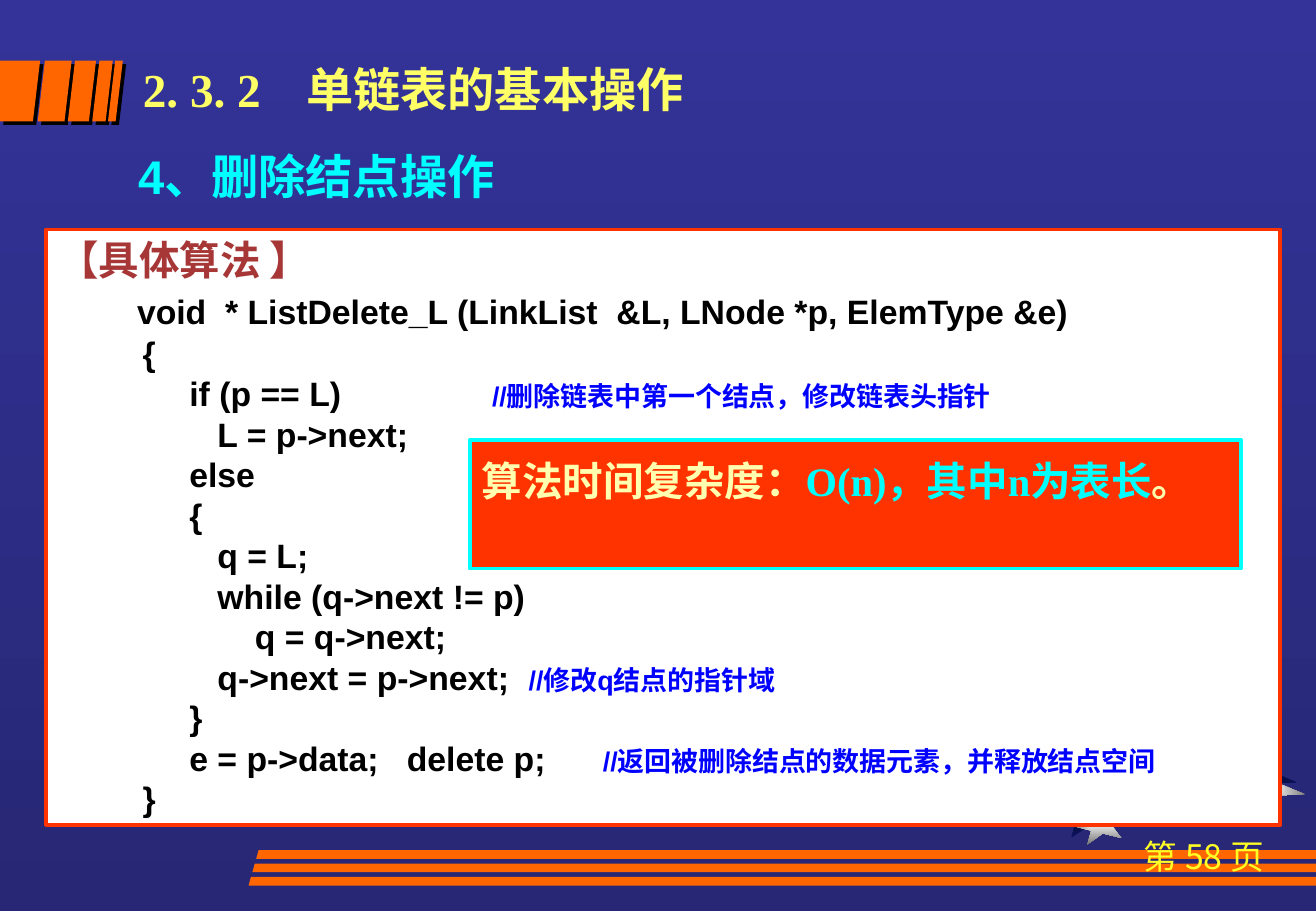
"""Builds the slide on deleting a node from a singly linked list."""
from dataclasses import dataclass

from lxml import etree
from pptx import Presentation
from pptx.dml.color import RGBColor
from pptx.enum.shapes import MSO_SHAPE
from pptx.enum.text import MSO_ANCHOR, PP_ALIGN
from pptx.oxml.ns import qn
from pptx.util import Cm, Pt

RECTANGLE = MSO_SHAPE.RECTANGLE
STAR = MSO_SHAPE.STAR_5_POINT
TOP, MIDDLE = MSO_ANCHOR.TOP, MSO_ANCHOR.MIDDLE
LEFT, CENTER = PP_ALIGN.LEFT, PP_ALIGN.CENTER
ARIAL, TIMES, NOTO = "Arial", "Times New Roman", "Noto Sans CJK SC"
COLORS = {
    "sky": "333399", "sky_low": "272775", "orange": "FF6600",
    "night": "060A2F", "night_edge": "0D1565",
    "silver": "EAEAEA", "silver_edge": "6C6C6C",
    "page_yellow": "FFFF25", "title_yellow": "FFFF66", "cream": "FFFFAF",
    "cyan": "00FFFF", "white": "FFFFFF", "black": "000000",
    "red": "FF3300", "brick": "A73737", "blue": "0000FF",
}


@dataclass
class Span:
    text: str
    size: int
    color: str
    font: str = ARIAL
    bold: bool = True


@dataclass
class Box:
    left: float
    top: float
    width: float
    height: float
    paras: list[list[Span]]
    fill: str = ""
    line: str = ""
    align: PP_ALIGN = LEFT
    anchor: MSO_ANCHOR = TOP
    spacing: float = 1.0
    tab: float = 0


@dataclass
class Band:
    left: float
    right: float
    top: float
    height: float
    lean_left: float
    lean_right: float
    shadow: bool = False


@dataclass
class Star:
    left: float
    top: float
    width: float
    height: float
    turn: int
    center: str
    edge: str


CODE = (
    "         {",
    "              if (p == L)                //删除链表中第一个结点，修改链表头指针",
    "                 L = p->next;",
    "              else",
    "              {",
    "                 q = L;",
    "                 while (q->next != p)",
    "                     q = q->next;",
    "                 q->next = p->next;  //修改q结点的指针域",
    "              }",
    "              e = p->data;   delete p;      //返回被删除结点的数据元素，并释放结点空间",
    "         }",
)
STARS = (
    Star(22.12, 16.74, 1.17, 0.71, 349, "night", "night_edge"),
    Star(25.58, 15.7, 1.55, 0.94, 22, "night", "night_edge"),
    Star(22.45, 16.89, 1.17, 0.71, 349, "silver", "silver_edge"),
    Star(25.76, 15.95, 1.55, 0.94, 22, "silver", "silver_edge"),
)
STRIPE_EDGES = ((0, 0.84), (0.94, 1.5), (1.57, 2.01), (2.08, 2.36), (2.41, 2.57))
STRIPES = [Band(left, right, 1.27, 1.27, min(left, 0.15), 0.15, True)
           for left, right in STRIPE_EDGES]
FOOTER_BARS = [Band(5.41 - 0.08 * row, 27.53, 17.78 + 0.28 * row, 0.18, 0.05, 0)
               for row in range(3)]


def code_spans(line: str) -> list[Span]:
    """Split a code line into its statement and its comment."""
    statement, mark, comment = line.partition("//")
    spans = [Span(statement, 20, "black")]
    if mark:
        spans.append(Span(mark + comment, 16, "blue"))
    return spans


ALGORITHM = [
    [Span("【具体算法 】", 24, "brick")],
    [Span("       ", 24, "brick"),
     Span("void  * ListDelete_L (LinkList  &L, LNode *p, ElemType &e)", 20, "black")],
    *map(code_spans, CODE),
]
COMPLEXITY = [[Span("算法时间复杂度：", 24, "cream", TIMES),
               Span("O(n)，其中n为表长", 24, "cyan", TIMES),
               Span("。", 24, "cream", TIMES)]]
BOXES = (
    Box(22.86, 17.35, 4.65, 2.13,
        [[Span("第 58 页", 20, "page_yellow", NOTO, False)]], align=CENTER),
    Box(2.74, 1.05, 16.79, 1.6,
        [[Span("2. 3. 2\t单链表的基本操作", 28, "title_yellow", TIMES)]],
        anchor=MIDDLE, tab=3.42),
    Box(2.64, 2.95, 16.79, 1.45, [[Span("4、删除结点操作", 28, "cyan")]]),
    Box(0.97, 4.8, 25.81, 12.45, ALGORITHM, "white", "red"),
    Box(9.83, 9.2, 16.13, 2.69, COMPLEXITY, "red", "cyan", spacing=1.2),
)


def rgb(name: str) -> RGBColor:
    """Look up a named colour."""
    return RGBColor.from_string(COLORS[name])


def set_gradient(fill, start: str, end: str) -> None:
    """Give a fill a downward gradient between two colours."""
    fill.gradient()
    fill.gradient_angle = 270
    for stop, name, position in zip(fill.gradient_stops, (start, end), (0, 1)):
        stop.color.rgb = rgb(name)
        stop.position = position


def draw_star(page, star: Star) -> None:
    """Draw a turned star shaded from its centre."""
    shape = page.shapes.add_shape(
        STAR, Cm(star.left), Cm(star.top), Cm(star.width), Cm(star.height))
    shape.rotation = star.turn
    shape.shadow.inherit = False
    shape.line.fill.background()
    set_gradient(shape.fill, star.center, star.edge)
    gradient = shape._element.spPr.find(qn("a:gradFill"))
    gradient.remove(gradient.find(qn("a:lin")))
    shade = etree.SubElement(gradient, qn("a:path"), {"path": "rect"})
    etree.SubElement(shade, qn("a:fillToRect"), dict.fromkeys("ltrb", "50000"))


def draw_band(page, band: Band) -> None:
    """Draw an orange band with leaning ends."""
    bottom = band.top + band.height
    corners = [(band.right, band.top), (band.right - band.lean_right, bottom),
               (band.left - band.lean_left, bottom)]
    builder = page.shapes.build_freeform(Cm(band.left), Cm(band.top))
    builder.add_line_segments([(Cm(x), Cm(y)) for x, y in corners])
    shape = builder.convert_to_shape()
    shape.fill.solid()
    shape.fill.fore_color.rgb = rgb("orange")
    shape.line.fill.background()
    shape.shadow.inherit = False
    if band.shadow:
        effects = shape._element.spPr.find(qn("a:effectLst"))
        shadow = etree.SubElement(effects, qn("a:outerShdw"), {
            "dist": str(Pt(2.8)), "dir": "2700000", "algn": "ctr", "rotWithShape": "0"})
        etree.SubElement(shadow, qn("a:srgbClr"), {"val": COLORS["black"]})


def add_span(para, span: Span) -> None:
    """Append one formatted run to a paragraph."""
    run = para.add_run()
    run.text = span.text
    run.font.name = span.font
    run.font.size = Pt(span.size)
    run.font.bold = span.bold
    run.font.color.rgb = rgb(span.color)
    etree.SubElement(run._r.get_or_add_rPr(), qn("a:ea"), {"typeface": NOTO})


def draw_box(page, box: Box) -> None:
    """Draw a text box, framed when it has a fill."""
    place = Cm(box.left), Cm(box.top), Cm(box.width), Cm(box.height)
    if box.fill:
        shape = page.shapes.add_shape(RECTANGLE, *place)
        shape.shadow.inherit = False
        shape.fill.solid()
        shape.fill.fore_color.rgb = rgb(box.fill)
        shape.line.color.rgb = rgb(box.line)
        shape.line.width = Pt(2.25)
    else:
        shape = page.shapes.add_textbox(*place)
    frame = shape.text_frame
    frame.word_wrap = True
    frame.vertical_anchor = box.anchor
    for index, spans in enumerate(box.paras):
        para = frame.add_paragraph() if index else frame.paragraphs[0]
        para.alignment = box.align
        para.line_spacing = box.spacing
        properties = para._p.get_or_add_pPr()
        properties.set("hangingPunct", "0")
        if box.tab:
            tabs = etree.SubElement(properties, qn("a:tabLst"))
            etree.SubElement(tabs, qn("a:tab"), {"pos": str(Cm(box.tab)), "algn": "l"})
        for span in spans:
            add_span(para, span)


def main() -> None:
    """Build and save the deck."""
    deck = Presentation()
    deck.slide_width, deck.slide_height = Cm(27.53), Cm(19.05)
    page = deck.slides.add_slide(deck.slide_layouts[6])
    set_gradient(page.background.fill, "sky", "sky_low")
    for star in STARS:
        draw_star(page, star)
    for band in STRIPES + FOOTER_BARS:
        draw_band(page, band)
    for box in BOXES:
        draw_box(page, box)
    deck.save("out.pptx")


if __name__ == "__main__":
    main()
